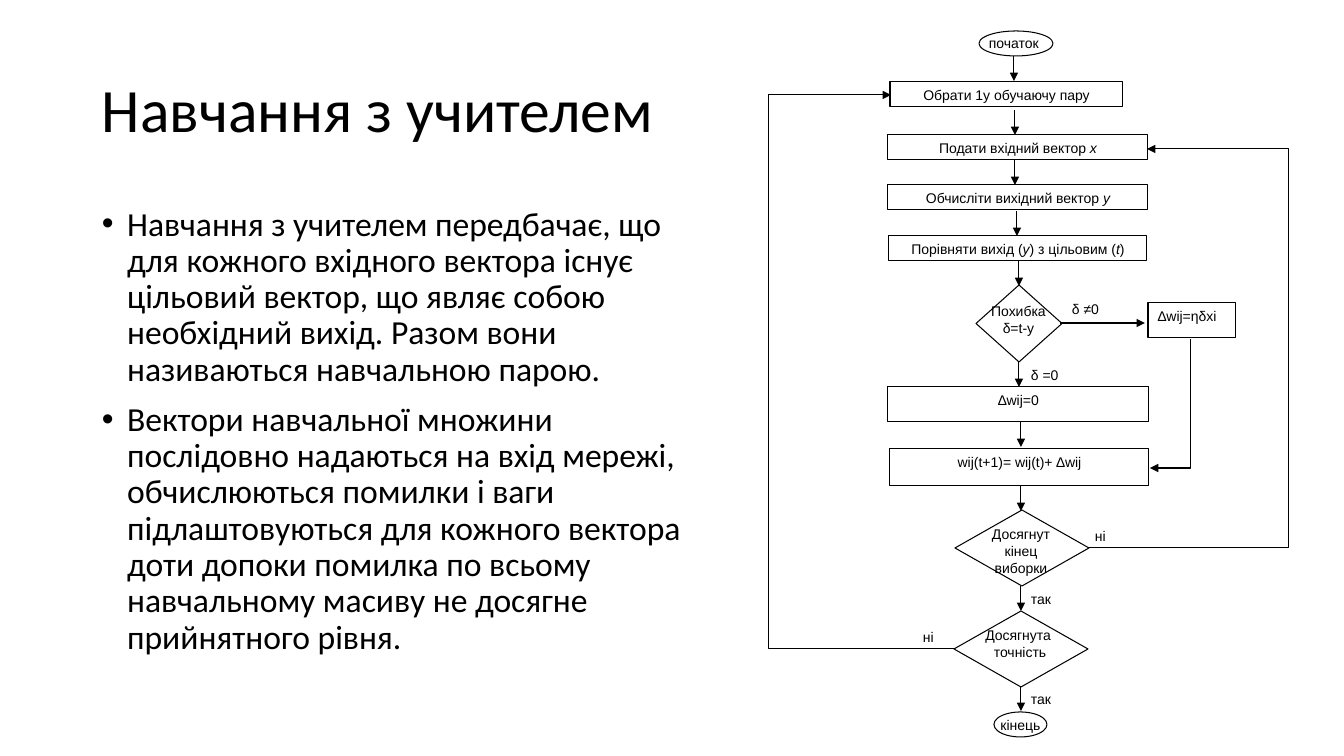
from lxml.etree import SubElement
from pptx import Presentation
from pptx.dml.color import RGBColor
from pptx.enum.shapes import MSO_CONNECTOR, MSO_SHAPE
from pptx.enum.text import MSO_ANCHOR, PP_ALIGN
from pptx.oxml.ns import qn
from pptx.util import Pt

PIXEL = 914400 / 100.8
BLACK = RGBColor(0, 0, 0)
WHITE = RGBColor(255, 255, 255)
LEFT, CENTER = PP_ALIGN.LEFT, PP_ALIGN.CENTER


def emu(*pixels):
    return [round(value * PIXEL) for value in pixels]


def write(shape, lines, size=10, font="Arial", align=LEFT, anchor=MSO_ANCHOR.TOP):
    text_frame = shape.text_frame
    text_frame.word_wrap = True
    text_frame.vertical_anchor = anchor
    text_frame.text = "\n".join(lines)
    for paragraph, line in zip(text_frame.paragraphs, lines):
        paragraph.alignment = align
        paragraph.text = ""
        for index, part in enumerate(line.split("*")):
            run = paragraph.add_run()
            run.text = part
            run.font.size = Pt(size)
            run.font.name = font
            run.font.color.rgb = BLACK
            run.font.italic = index % 2 == 1


presentation = Presentation()
presentation.slide_width, presentation.slide_height = emu(1344, 756)
slide = presentation.slides.add_slide(presentation.slide_layouts[6])
shapes = slide.shapes

title = shapes.add_textbox(*emu(92, 40, 1159, 146))
write(title, ["Навчання з учителем"], 44, "Calibri", anchor=MSO_ANCHOR.MIDDLE)
title.text_frame.paragraphs[0].line_spacing = 0.9

body = shapes.add_textbox(*emu(92, 202, 627, 480))
write(body, [
    "Навчання з учителем передбачає, що для кожного вхідного вектора існує "
    "цільовий вектор, що являє собою необхідний вихід. Разом вони "
    "називаються навчальною парою.",
    "Вектори навчальної множини послідовно надаються на вхід мережі, "
    "обчислюються помилки і ваги підлаштовуються для кожного вектора доти "
    "допоки помилка по всьому навчальному масиву не досягне прийнятного рівня.",
], 24, "Calibri")
for paragraph in body.text_frame.paragraphs:
    paragraph.line_spacing = 0.9
    paragraph.space_before = Pt(10)
    properties = paragraph._p.get_or_add_pPr()
    properties.set("marL", "228600")
    properties.set("indent", "-228600")
    SubElement(properties, qn("a:buFont"), typeface="Arial")
    SubElement(properties, qn("a:buChar"), char="•")

blocks = [
    (MSO_SHAPE.OVAL, 979, 31, 74, 25, "", LEFT),
    (MSO_SHAPE.RECTANGLE, 890, 82, 233, 25, "Обрати 1у обучаючу пару", CENTER),
    (MSO_SHAPE.RECTANGLE, 888, 135, 260, 25, "Подати вхідний вектор *х*", CENTER),
    (MSO_SHAPE.RECTANGLE, 888, 185, 260, 25, "Обчисліти вихідний вектор *у*", CENTER),
    (MSO_SHAPE.RECTANGLE, 889, 236, 258, 25, "Порівняти вихід (*у*) з цільовим (*t*)", CENTER),
    (MSO_SHAPE.DIAMOND, 976, 285, 86, 77, "", CENTER),
    (MSO_SHAPE.RECTANGLE, 1148, 303, 88, 35, "∆wij=ηδxi", LEFT),
    (MSO_SHAPE.RECTANGLE, 888, 387, 261, 35, "∆wij=0", CENTER),
    (MSO_SHAPE.RECTANGLE, 890, 449, 259, 37, "wij(t+1)= wij(t)+ ∆wij", CENTER),
    (MSO_SHAPE.DIAMOND, 955, 510, 134, 76, "", CENTER),
    (MSO_SHAPE.DIAMOND, 954, 611, 134, 76, "", CENTER),
    (MSO_SHAPE.OVAL, 994, 712, 53, 25, "", CENTER),
]
for kind, left, top, width, height, text, align in blocks:
    block = shapes.add_shape(kind, *emu(left, top, width, height))
    block.shadow.inherit = False
    block.fill.solid()
    block.fill.fore_color.rgb = WHITE
    block.line.color.rgb = BLACK
    block.line.width = Pt(0.75)
    if text:
        write(block, [text], align=align)

labels = [
    (979, 30, 74, 25, ["початок"], LEFT),
    (970, 298, 97, 57, ["Похибка", "δ=t-y"], CENTER),
    (1062, 296, 56, 25, ["δ ≠0"], LEFT),
    (1021, 362, 65, 25, ["δ =0"], LEFT),
    (967, 521, 108, 66, ["Досягнут", "кінец виборки"], CENTER),
    (1085, 523, 65, 25, ["ні"], LEFT),
    (1021, 586, 65, 25, ["так"], LEFT),
    (966, 622, 108, 52, ["Досягнута ", "точність"], CENTER),
    (913, 624, 65, 25, ["ні"], LEFT),
    (1021, 686, 65, 25, ["так"], LEFT),
    (988, 712, 65, 25, ["кінець"], CENTER),
]
for left, top, width, height, lines, align in labels:
    write(shapes.add_textbox(*emu(left, top, width, height)), lines, align=align)

down_starts = [(1014, 56), (1015, 110), (1015, 160), (1017, 211), (1019, 261),
               (1019, 362), (1021, 422), (1021, 486), (1021, 586), (1021, 686)]
arrows = [(x, y, x, y + 25, None) for x, y in down_starts]
arrows += [
    (1060, 323, 1145, 323, None),
    (1191, 339, 1150, 468, 1191),
    (1089, 548, 1147, 149, 1289),
    (954, 649, 891, 95, 769),
]
for begin_x, begin_y, end_x, end_y, turn_x in arrows:
    kind = MSO_CONNECTOR.STRAIGHT if turn_x is None else MSO_CONNECTOR.ELBOW
    arrow = shapes.add_connector(kind, *emu(begin_x, begin_y, end_x, end_y))
    arrow.line.color.rgb = BLACK
    arrow.line.width = Pt(0.75)
    SubElement(arrow.line._get_or_add_ln(), qn("a:tailEnd"), type="triangle")
    SubElement(arrow._element.spPr, qn("a:effectLst"))
    if turn_x is not None:
        adjustment = round(100000 * (turn_x - begin_x) / (end_x - begin_x))
        guides = arrow._element.spPr.find(qn("a:prstGeom")).get_or_add_avLst()
        SubElement(guides, qn("a:gd"), name="adj1", fmla=f"val {adjustment}")

presentation.save("out.pptx")
